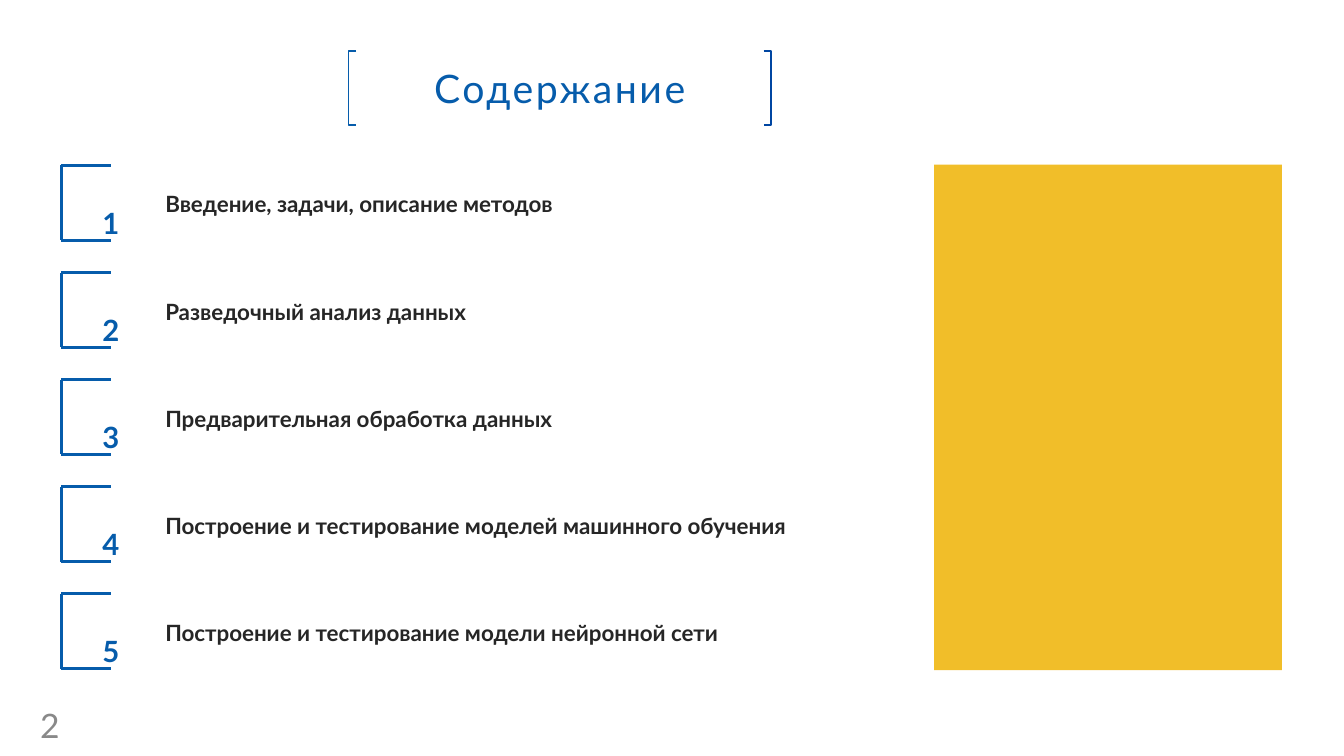
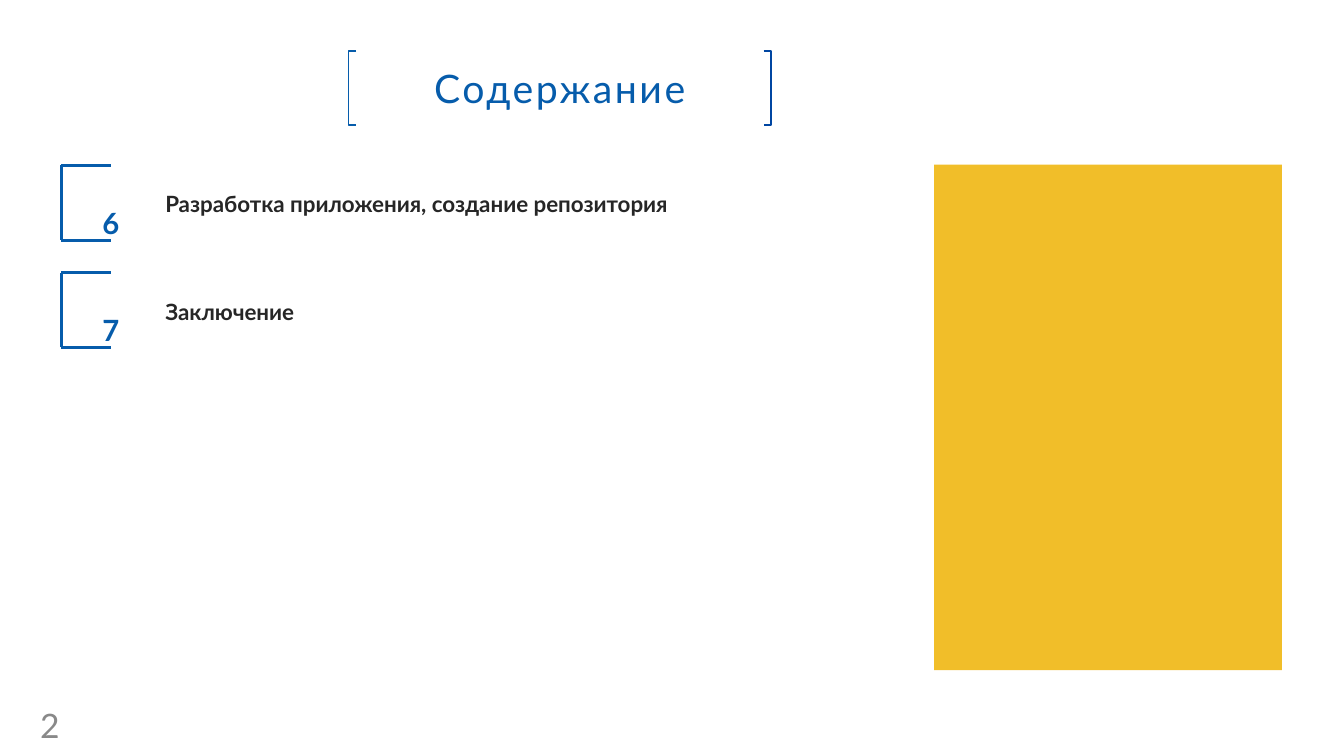
from dataclasses import dataclass

from lxml.etree import SubElement
from pptx import Presentation
from pptx.dml.color import RGBColor
from pptx.enum.shapes import MSO_CONNECTOR, MSO_SHAPE
from pptx.enum.text import MSO_ANCHOR, PP_ALIGN
from pptx.oxml.ns import qn
from pptx.util import Inches, Pt

WIDTH, HEIGHT = Inches(13.33), Inches(7.5)
COLUMNS, ROWS = 160, 90


@dataclass(frozen=True)
class Theme:
    font: str = "Lato"
    blue: str = "065CAB"
    deep_blue: str = "0046A2"
    yellow: str = "F1BE29"
    ink: str = "262626"
    gray: str = "898989"
    white: str = "FFFFFF"
    title_size: float = 28
    label_size: float = 16
    number_size: float = 36
    page_size: float = 24
    title_line: float = 1.3
    item_line: float = 2.25


@dataclass(frozen=True)
class Box:
    x: float
    y: float
    w: float
    h: float

    @property
    def right(self):
        return self.x + self.w

    @property
    def bottom(self):
        return self.y + self.h

    def inner(self, dx, dy, w, h):
        return Box(self.x + dx, self.y + dy, w, h)

    def emu(self):
        return *point(self.x, self.y), *point(self.w, self.h)


THEME = Theme()
TITLE = Box(41.5, 6.1, 50.3, 8.8)
PANEL = Box(111.2, 19.6, 41.4, 60.2)
PAGE = Box(3.6, 84.5, 7.4, 3.6)
ITEM = Box(7.3, 19.7, 5.9, 8.9)
ITEM_PITCH = 12.75

CONTENTS = [
    [
        "Введение, задачи, описание методов",
        "Разведочный анализ данных",
        "Предварительная обработка данных",
        "Построение и тестирование моделей машинного обучения",
        "Построение и тестирование модели нейронной сети",
    ],
    [
        "Разработка приложения, создание репозитория",
        "Заключение",
    ],
]


def point(x, y):
    return round(x * WIDTH / COLUMNS), round(y * HEIGHT / ROWS)


def rgb(color):
    return RGBColor.from_string(color)


def write(tf, text, size, color, bold=False, **run_attributes):
    p = tf.paragraphs[0]
    r = p.add_run()
    r.text = text
    p.font.name = THEME.font
    p.font.size = Pt(size)
    p.font.bold = bold
    p.font.color.rgb = rgb(color)
    for name, value in run_attributes.items():
        r._r.get_or_add_rPr().set(name, value)
    return p


def add_text(s, box, text, size, color, anchor=MSO_ANCHOR.TOP, **style):
    tf = s.shapes.add_textbox(*box.emu()).text_frame
    tf.word_wrap = True
    tf.vertical_anchor = anchor
    write(tf, text, size, color, **style)


def add_rectangle(s, box, color):
    sp = s.shapes.add_shape(MSO_SHAPE.RECTANGLE, *box.emu())
    sp.shadow.inherit = False
    sp.fill.solid()
    sp.fill.fore_color.rgb = rgb(color)
    sp.line.fill.background()
    return sp


def add_line(s, start, end):
    line = s.shapes.add_connector(MSO_CONNECTOR.STRAIGHT, *point(*start), *point(*end))
    line.line.color.rgb = rgb(THEME.blue)
    line.line.width = Pt(THEME.item_line)
    SubElement(line._element.spPr, qn("a:effectLst"))


def add_title_bracket(s, box, edge, arm, color):
    corners = [(edge + arm, box.y), (edge, box.y),
               (edge, box.bottom), (edge + arm, box.bottom)]
    start, *rest = [point(*corner) for corner in corners]
    builder = s.shapes.build_freeform(*start)
    builder.add_line_segments(rest, close=False)
    sp = builder.convert_to_shape()
    sp.shadow.inherit = False
    sp.fill.background()
    sp.line.color.rgb = rgb(color)
    sp.line.width = Pt(THEME.title_line)


def add_title(s, box, text):
    sp = add_rectangle(s, box, THEME.white)
    sp.text_frame.vertical_anchor = MSO_ANCHOR.MIDDLE
    p = write(sp.text_frame, text, THEME.title_size, THEME.blue, spc="180")
    p.alignment = PP_ALIGN.CENTER
    add_title_bracket(s, box, box.x, 0.9, THEME.blue)
    add_title_bracket(s, box, box.right, -0.9, THEME.deep_blue)


def add_item(s, box, number, label):
    add_line(s, (box.x, box.y), (box.x, box.bottom))
    for y in (box.y, box.bottom):
        add_line(s, (box.x, y), (box.right, y))
    add_text(s, box.inner(3.7, 3.4, 14.2, 6), str(number), THEME.number_size,
             THEME.blue, bold=True, baseline="30000")
    add_text(s, box.inner(11.2, 2.4, 81.6, 4.4), label, THEME.label_size,
             THEME.ink, bold=True)


def add_contents_slide(prs, labels, first_number):
    s = prs.slides.add_slide(prs.slide_layouts[6])
    add_title(s, TITLE, "Содержание")
    add_rectangle(s, PANEL, THEME.yellow)
    for i, label in enumerate(labels):
        box = ITEM.inner(0, i * ITEM_PITCH, ITEM.w, ITEM.h)
        add_item(s, box, first_number + i, label)
    add_text(s, PAGE, "2", THEME.page_size, THEME.gray, anchor=MSO_ANCHOR.MIDDLE)


def main():
    prs = Presentation()
    prs.slide_width, prs.slide_height = WIDTH, HEIGHT
    first_number = 1
    for labels in CONTENTS:
        add_contents_slide(prs, labels, first_number)
        first_number += len(labels)
    prs.save("out.pptx")


if __name__ == "__main__":
    main()
